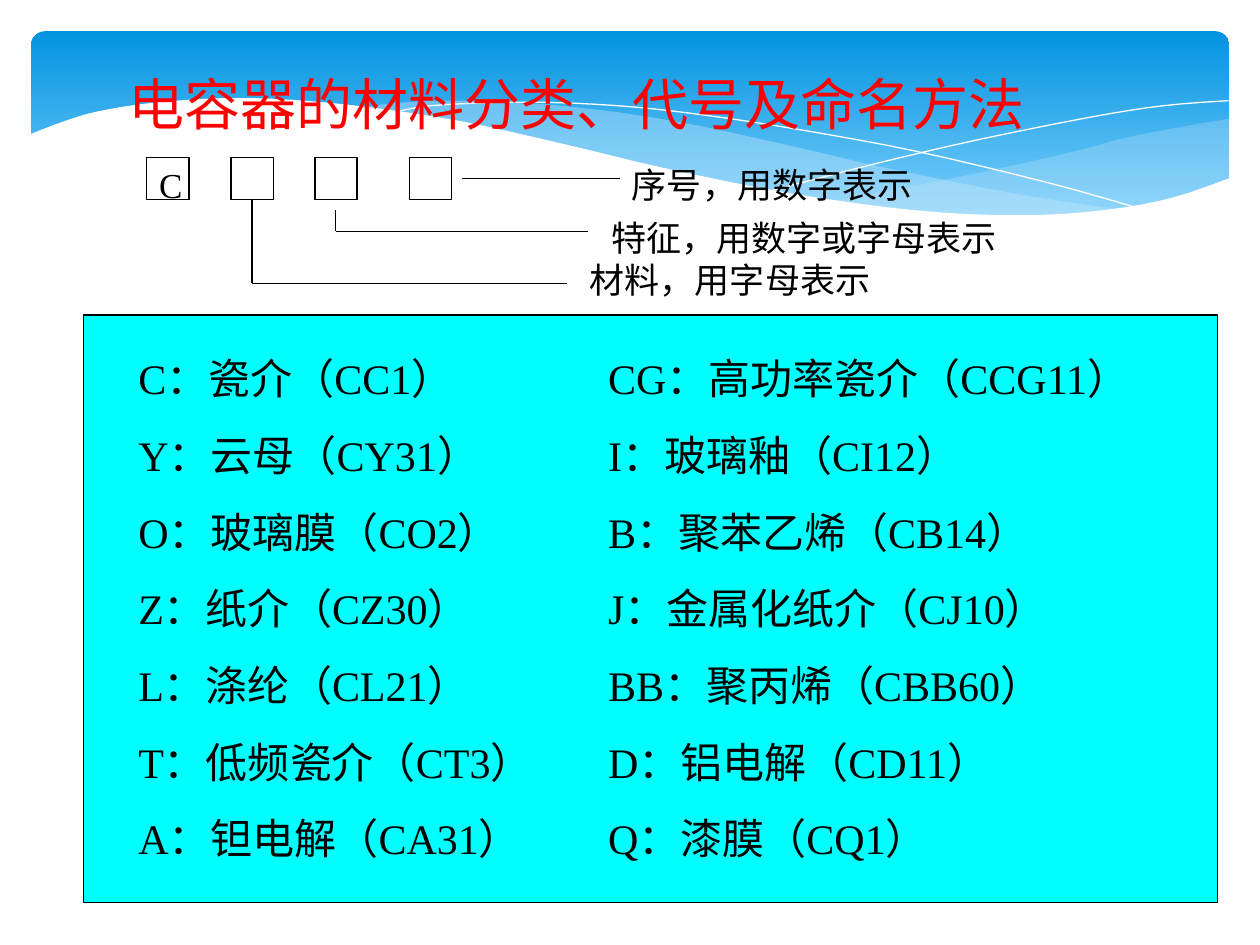
from lxml import etree
from pptx import Presentation
from pptx.dml.color import RGBColor
from pptx.enum.shapes import MSO_CONNECTOR, MSO_SHAPE
from pptx.enum.text import MSO_AUTO_SIZE
from pptx.oxml.ns import qn
from pptx.util import Cm, Pt

RECT = MSO_SHAPE.RECTANGLE
ROUND_RECT = MSO_SHAPE.ROUNDED_RECTANGLE
STRAIGHT = MSO_CONNECTOR.STRAIGHT
GROW = MSO_AUTO_SIZE.SHAPE_TO_FIT_TEXT
FONT = "Times New Roman"
BLACK, WHITE, RED, CYAN = "000000", "FFFFFF", "FF0000", "00FFFF"
PALE_BLUE = "C6E7FC"

RIGHT_WAVE = [
    [(24.79, 2.39), (23.75, 2.57), (22.63, 2.79), (21.87, 3), (20.45, 3.33),
     (18.52, 3.73), (16.79, 4.06)],
    [(16.79, 4.06), (17.91, 4.19), (19.23, 4.32), (20.68, 4.37), (21.92, 4.32),
     (22.99, 4.14), (23.93, 3.91), (24.79, 3.58)],
]
MIDDLE_WAVE = [
    [(22.68, 4.24), (20.5, 3.91), (17.93, 3.4), (15.98, 2.95), (14.1, 2.54),
     (12.42, 2.26), (10.67, 2.08), (9.17, 2.03), (7.95, 2.08), (7.26, 2.18)],
    [(7.26, 2.18), (8.69, 2.39), (10.26, 2.69), (11.4, 2.95), (13.46, 3.43),
     (15.27, 3.81), (16.89, 4.09), (18.34, 4.27), (19.94, 4.37), (21.29, 4.37),
     (22.68, 4.24)],
]
FALLING_LINE = [
    [(7.85, 2.29), (8.71, 2.13), (10.57, 2.06), (12.42, 2.13), (14.12, 2.31),
     (16.15, 2.62), (18.47, 3.05), (21.11, 3.68), (23.04, 4.22)],
]
RISING_LINE = [
    [(15.57, 3.84), (17.65, 3.3), (19.71, 2.82), (22, 2.36), (23.47, 2.13),
     (24.77, 2.03)],
]
WHITE_WAVE = [
    [(24.82, 3.58), (23.62, 3.99), (22.23, 4.24), (20.55, 4.34), (18.44, 4.24),
     (15.9, 3.89), (13.44, 3.4), (11.35, 2.9), (9.27, 2.44), (7.42, 2.16),
     (5.84, 2.01), (4.47, 1.98), (3.02, 2.08), (1.91, 2.26), (1.17, 2.49),
     (0.58, 2.72)],
    [(0.58, 5.69)],
    [(24.82, 5.69)],
]
MATERIALS = [
    ("C：瓷介（CC1）", "CG：高功率瓷介（CCG11）"),
    ("Y：云母（CY31）", "I：玻璃釉（CI12）"),
    ("O：玻璃膜（CO2）", "B：聚苯乙烯（CB14）"),
    ("Z：纸介（CZ30）", "J：金属化纸介（CJ10）"),
    ("L：涤纶（CL21）", "BB：聚丙烯（CBB60）"),
    ("T：低频瓷介（CT3）", "D：铝电解（CD11）"),
    ("A：钽电解（CA31）", "Q：漆膜（CQ1）"),
]


def rgb(color):
    return RGBColor.from_string(color)


def smooth(knots, steps=4):
    ends = [knots[0], *knots, knots[-1]]
    points = [knots[0]]
    for a, b, c, d in zip(ends, ends[1:], ends[2:], ends[3:]):
        for i in range(1, steps + 1):
            t = i / steps
            points.append(tuple(
                q + t / 2 * (r - p + t * (2 * p - 5 * q + 4 * r - s
                                          + t * (3 * q - p - 3 * r + s)))
                for p, q, r, s in zip(a, b, c, d)))
    return points


def add_wave(slide, curves, fill=None, alpha=100):
    points = [(Cm(x), Cm(y)) for curve in curves for x, y in smooth(curve)]
    builder = slide.shapes.build_freeform(*points[0])
    builder.add_line_segments(points[1:], close=fill is not None)
    s = builder.convert_to_shape()
    s.shadow.inherit = False
    if fill is None:
        s.fill.background()
        s.line.color.rgb = rgb(WHITE)
        s.line.width = Pt(0)
        return
    s.line.fill.background()
    s.fill.solid()
    s.fill.fore_color.rgb = rgb(fill)
    if alpha < 100:
        clr = s.fill._xPr.find(".//" + qn("a:srgbClr"))
        etree.SubElement(clr, qn("a:alpha"), val=str(alpha * 1000))


def add_banner(slide):
    s = slide.shapes.add_shape(ROUND_RECT, Cm(0.63), Cm(0.63), Cm(24.15), Cm(3.96))
    s.adjustments[0] = 0.07
    s.shadow.inherit = False
    s.line.fill.background()
    s.fill.gradient()
    s.fill.gradient_angle = 270
    for stop, position, color in zip(s.fill.gradient_stops, (0, 1), ("0293E0", "83D3FE")):
        stop.position = position
        stop.color.rgb = rgb(color)


def add_box(slide, x, y, w, h, fill):
    s = slide.shapes.add_shape(RECT, Cm(x), Cm(y), Cm(w), Cm(h))
    s.shadow.inherit = False
    s.fill.solid()
    s.fill.fore_color.rgb = rgb(fill)
    s.line.color.rgb = rgb(BLACK)
    s.line.width = Pt(0.75)


def add_leader(slide, *points):
    for (x1, y1), (x2, y2) in zip(points, points[1:]):
        s = slide.shapes.add_connector(STRAIGHT, Cm(x1), Cm(y1), Cm(x2), Cm(y2))
        s.line.color.rgb = rgb(BLACK)
        s.line.width = Pt(0.75)
        etree.SubElement(s._element.spPr, qn("a:effectLst"))


def add_text(slide, x, y, w, h, lines, size, color=BLACK, gap=0, tab=None):
    tf = slide.shapes.add_textbox(Cm(x), Cm(y), Cm(w), Cm(h)).text_frame
    tf.word_wrap = True
    tf.auto_size = GROW
    for i, line in enumerate(lines):
        p = tf.add_paragraph() if i else tf.paragraphs[0]
        if i:
            p.space_before = Pt(gap)
        if tab:
            tabs = etree.SubElement(p._p.get_or_add_pPr(), qn("a:tabLst"))
            etree.SubElement(tabs, qn("a:tab"), pos=str(Cm(tab)), algn="l")
        r = p.add_run()
        r.text = line
        r.font.size = Pt(size)
        r.font.name = FONT
        r.font.color.rgb = rgb(color)


def main():
    prs = Presentation()
    prs.slide_width, prs.slide_height = Cm(25.4), Cm(19.05)
    slide = prs.slides.add_slide(prs.slide_layouts[6])

    add_banner(slide)
    add_wave(slide, RIGHT_WAVE, PALE_BLUE, 29)
    add_wave(slide, MIDDLE_WAVE, PALE_BLUE, 40)
    add_wave(slide, FALLING_LINE)
    add_wave(slide, RISING_LINE)
    add_wave(slide, WHITE_WAVE, WHITE)

    add_text(slide, 2.34, 1.27, 21.59, 1.63, ["电容器的材料分类、代号及命名方法"], 32, RED)

    for x in (2.96, 4.66, 6.35, 8.26):
        add_box(slide, x, 3.18, 0.85, 0.85, WHITE)
    add_leader(slide, (9.31, 3.6), (12.49, 3.6))
    add_leader(slide, (6.77, 4.23), (6.77, 4.66), (11.85, 4.66))
    add_leader(slide, (5.08, 4.02), (5.08, 5.71), (11.43, 5.71))

    for x, y, w, label in (
        (2.96, 3.18, 2.34, "C"),
        (12.49, 3.18, 7.2, "序号，用数字表示"),
        (12.07, 4.23, 12.49, "特征，用数字或字母表示"),
        (11.64, 5.08, 8.89, "材料，用字母表示"),
    ):
        add_text(slide, x, y, w, 1.11, [label], 20)

    add_box(slide, 1.69, 6.35, 22.86, 11.85, CYAN)
    add_text(slide, 2.54, 6.99, 21.17, 10.54, ["\t".join(row) for row in MATERIALS],
             24, gap=15, tab=9.47)

    prs.save("out.pptx")


if __name__ == "__main__":
    main()
